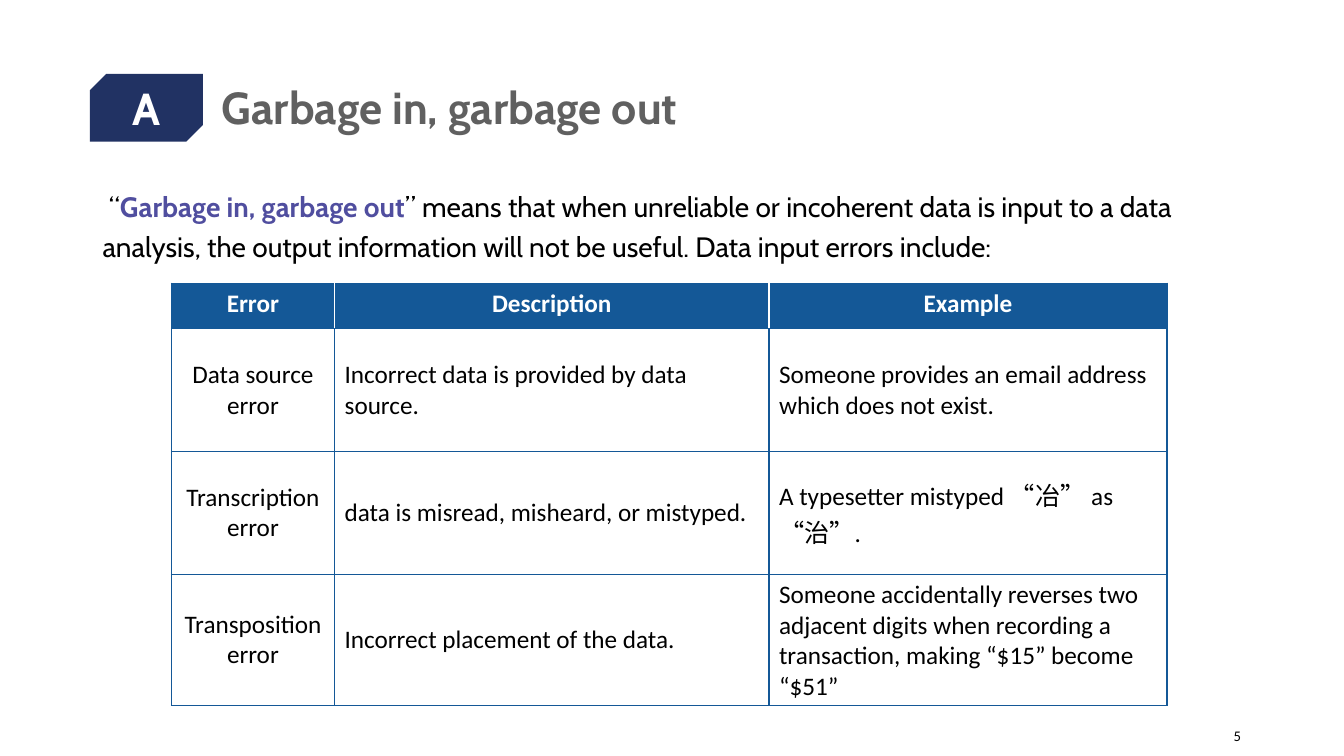
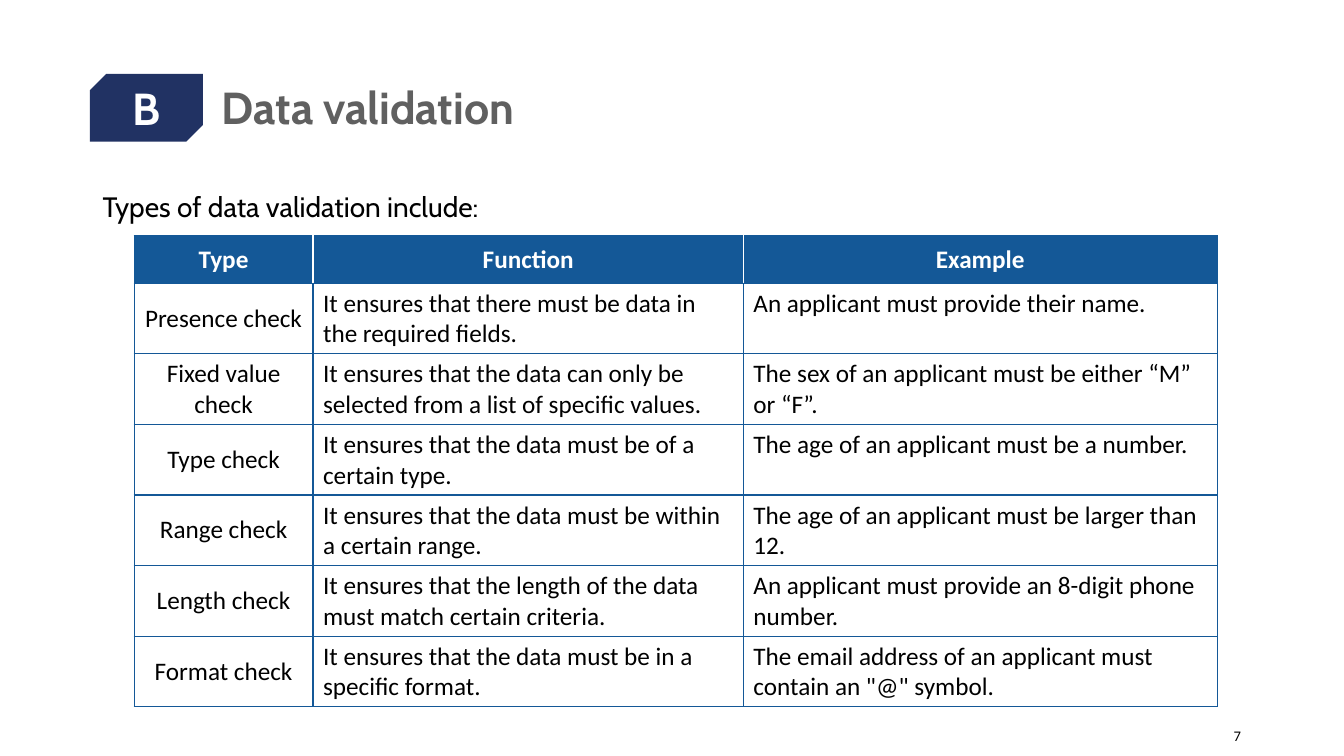
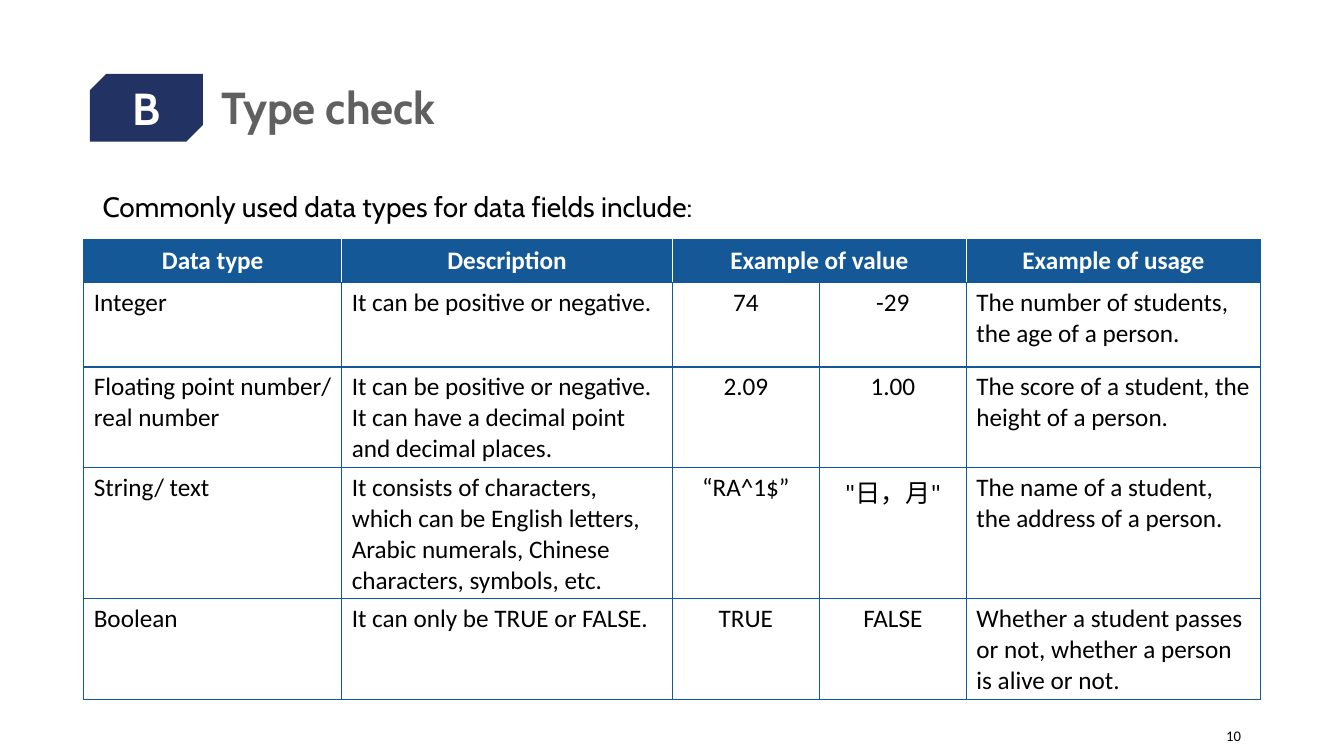
from pptx import Presentation
from pptx.dml.color import RGBColor
from pptx.enum.shapes import MSO_SHAPE
from pptx.enum.text import MSO_ANCHOR, MSO_AUTO_SIZE, PP_ALIGN
from pptx.oxml.ns import qn
from pptx.util import Pt
from lxml.etree import SubElement

NAVY, BLUE, VIOLET = "213263", "145897", "504E9F"
GREY, BLACK, WHITE = "606060", "000000", "FFFFFF"
HEADING_FONT, TABLE_FONT = "Cabin", "Calibri"
ALIGN = {"l": PP_ALIGN.LEFT, "c": PP_ALIGN.CENTER, "r": PP_ALIGN.RIGHT}
ANCHOR = {"t": MSO_ANCHOR.TOP, "m": MSO_ANCHOR.MIDDLE}
LEAD_TOP = 127


def rgb(value):
    return RGBColor.from_string(value)


class Deck:
    """Style of the lesson slides and the slide being filled."""

    def __init__(self):
        self.prs = Presentation()
        self.prs.slide_width, self.prs.slide_height = Pt(960), Pt(540)
        self.s = None

    def add_text(self, tf, runs, size, font, align="l", spacing=1.0):
        p = tf.paragraphs[0]
        p.alignment = ALIGN[align]
        p.line_spacing = spacing
        p.space_before = Pt(0)
        for text, color, bold in runs:
            r = p.add_run()
            r.text = text
            r.font.size, r.font.name, r.font.bold = Pt(size), font, bold
            r.font.color.rgb = rgb(color)

    def slide(self, letter, title, number):
        self.s = self.prs.slides.add_slide(self.prs.slide_layouts[5])
        self.badge(letter)
        self.title(title)
        self.page_number(number)

    def badge(self, letter):
        sp = self.s.shapes.add_shape(MSO_SHAPE.SNIP_2_DIAG_RECTANGLE,
                                     Pt(64.2), Pt(52.7), Pt(80.8), Pt(48.4))
        sp.adjustments[0], sp.adjustments[1] = 0.245, 0
        sp.shadow.inherit = False
        sp.fill.solid()
        sp.fill.fore_color.rgb = rgb(NAVY)
        sp.line.fill.background()
        tf = sp.text_frame
        tf.vertical_anchor = MSO_ANCHOR.MIDDLE
        self.add_text(tf, [(letter, WHITE, True)], 32, HEADING_FONT, "c")

    def title(self, text):
        sp = self.s.shapes.title
        sp.left, sp.top, sp.width, sp.height = Pt(151.2), Pt(28.8), Pt(743), Pt(99.4)
        tf = sp.text_frame
        tf.auto_size = MSO_AUTO_SIZE.NONE
        tf.vertical_anchor = MSO_ANCHOR.MIDDLE
        self.add_text(tf, [(text, GREY, True)], 32, HEADING_FONT, spacing=0.9)

    def textbox(self, left, top, width, height):
        tf = self.s.shapes.add_textbox(Pt(left), Pt(top), Pt(width), Pt(height)).text_frame
        tf.word_wrap = True
        return tf

    def page_number(self, number):
        tf = self.textbox(833, 511.2, 60.5, 28.8)
        tf.vertical_anchor = MSO_ANCHOR.MIDDLE
        self.add_text(tf, [(str(number), BLACK, False)], 10.5, TABLE_FONT, "r")

    def lead(self, runs, bottom):
        tf = self.textbox(66.2, LEAD_TOP, 828, bottom - LEAD_TOP)
        self.add_text(tf, runs, 20, HEADING_FONT, spacing=1.2)

    def borders(self, cell, left, right):
        tc_pr = cell._tc.get_or_add_tcPr()
        for side, color in zip("LRTB", (left, right, BLUE, BLUE)):
            ln = SubElement(tc_pr, qn(f"a:ln{side}"), w=str(Pt(1)))
            SubElement(SubElement(ln, qn("a:solidFill")), qn("a:srgbClr"), val=color)

    def cell(self, cell, text, header, align, anchor):
        cell.vertical_anchor = ANCHOR[anchor]
        if header:
            cell.fill.solid()
            cell.fill.fore_color.rgb = rgb(BLUE)
        else:
            cell.fill.background()
        if text is not None:
            run = (text, WHITE if header else BLACK, header)
            self.add_text(cell.text_frame, [run], 18, TABLE_FONT, align)

    def table(self, left, top, widths, head_height, row_height, rows,
              aligns, anchors, head_anchor="t"):
        heights = [head_height] + [row_height] * (len(rows) - 1)
        table = self.s.shapes.add_table(len(rows), len(widths), Pt(left), Pt(top),
                                        Pt(sum(widths)), Pt(sum(heights))).table
        table.first_row = table.horz_banding = False
        for col, width in zip(table.columns, widths):
            col.width = Pt(width)
        last = len(widths) - 1
        for i, (row, height) in enumerate(zip(rows, heights)):
            table.rows[i].height = Pt(height)
            header = i == 0
            for j, text in enumerate(row):
                cell = table.cell(i, j)
                self.borders(cell, WHITE if header and j > 0 else BLUE,
                             WHITE if header and j < last else BLUE)
                self.cell(cell, text, header, "c" if header else aligns[j],
                          head_anchor if header else anchors[j])
                if text is None:
                    table.cell(i, j - 1).merge(cell)


def main():
    deck = Deck()

    deck.slide("A", "Garbage in, garbage out", 5)
    deck.lead([
        (" “", BLACK, False),
        ("Garbage in, garbage out", VIOLET, True),
        ("” means that when unreliable or incoherent data is input to a data analysis, "
         "the output information will not be useful. Data input errors include:", BLACK, False),
    ], 202)
    deck.table(122.4, 202.3, [116.6, 310.3, 284.4], 32.4, 87.8, [
        ["Error", "Description", "Example"],
        ["Data source error", "Incorrect data is provided by data source.",
         "Someone provides an email address which does not exist."],
        ["Transcription error", "data is misread, misheard, or mistyped.",
         "A typesetter mistyped “冶” as “治”."],
        ["Transposition error", "Incorrect placement of the data.",
         "Someone accidentally reverses two adjacent digits when recording a transaction, "
         "making “$15” become “$51”"],
    ], "cll", "mmm")

    deck.slide("B", "Data validation", 7)
    deck.lead([("Types of data validation include:", BLACK, False)], 168)
    deck.table(95.8, 168.5, [127.8, 307.4, 338.4], 33.8, 46.1, [
        ["Type", "Function", "Example"],
        ["Presence check", "It ensures that there must be data in the required fields.",
         "An applicant must provide their name."],
        ["Fixed value check",
         "It ensures that the data can only be selected from a list of specific values.",
         "The sex of an applicant must be either “M” or “F”."],
        ["Type check", "It ensures that the data must be of a certain type.",
         "The age of an applicant must be a number."],
        ["Range check", "It ensures that the data must be within a certain range.",
         "The age of an applicant must be larger than 12."],
        ["Length check", "It ensures that the length of the data must match certain criteria.",
         "An applicant must provide an 8-digit phone number."],
        ["Format check", "It ensures that the data must be in a specific format.",
         "The email address of an applicant must contain an \"@\" symbol."],
    ], "cll", "mtt", "m")

    deck.slide("B", "Type check", 10)
    deck.lead([("Commonly used data types for data fields include:", BLACK, False)], 171)
    deck.table(59.8, 171.4, [184.3, 236.2, 105, 105, 210.2], 30.2, 60.5, [
        ["Data type", "Description", "Example of value", None, "Example of usage"],
        ["Integer", "It can be positive or negative.", "74", "-29",
         "The number of students, the age of a person."],
        ["Floating point number/ real number",
         "It can be positive or negative. It can have a decimal point and decimal places.",
         "2.09", "1.00", "The score of a student, the height of a person."],
        ["String/ text",
         "It consists of characters, which can be English letters, Arabic numerals, "
         "Chinese characters, symbols, etc.",
         "“RA^1$”", "\"日，月\"", "The name of a student, the address of a person."],
        ["Boolean", "It can only be TRUE or FALSE.", "TRUE", "FALSE",
         "Whether a student passes or not, whether a person is alive or not."],
    ], "llccl", "ttttt")

    deck.prs.save("out.pptx")


if __name__ == "__main__":
    main()
